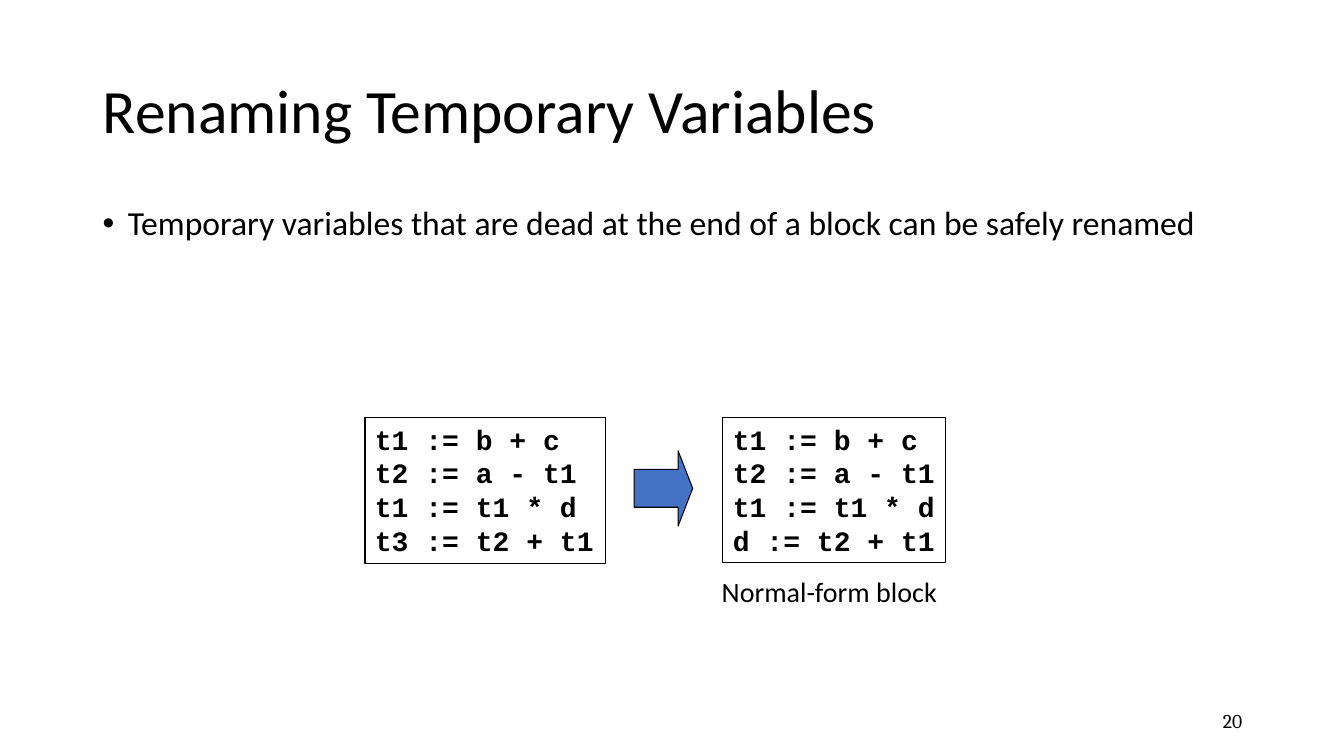
from dataclasses import dataclass

from lxml.etree import SubElement
from pptx import Presentation
from pptx.dml.color import RGBColor
from pptx.enum.shapes import MSO_SHAPE
from pptx.enum.text import MSO_ANCHOR, MSO_AUTO_SIZE, PP_ALIGN
from pptx.oxml.ns import qn
from pptx.shapes.autoshape import Shape
from pptx.slide import Slide
from pptx.text.text import _Paragraph as Paragraph
from pptx.util import Inches, Pt

COLORS = {"black": "000000", "arrow": "4472C4"}


@dataclass(frozen=True)
class Box:
    """Position and size in inches."""

    left: float
    top: float
    width: float
    height: float


@dataclass(frozen=True)
class Label:
    """A text with its box and type style."""

    text: str
    box: Box
    size: int
    font: str = "Calibri"
    align: PP_ALIGN = PP_ALIGN.LEFT
    anchor: MSO_ANCHOR = MSO_ANCHOR.TOP
    wrap: bool = True
    bold: bool = False


@dataclass(frozen=True)
class CodeBlock:
    """A basic block of three-address statements."""

    box: Box
    statements: tuple[str, ...]


TITLE = Label("Renaming Temporary Variables", Box(0.92, 0.4, 11.5, 1.45), 44,
              anchor=MSO_ANCHOR.MIDDLE)
BULLET = Label("Temporary variables that are dead at the end of a block can be safely renamed",
               Box(0.92, 2, 11.5, 4.76), 24)
PAGE_NUMBER = Label("20", Box(9.42, 6.95, 3, 0.4), 14, "Cambria",
                    PP_ALIGN.RIGHT, MSO_ANCHOR.MIDDLE)
CAPTION = Label("Normal-form block", Box(7.06, 5.65, 2.36, 0.44), 20, wrap=False)
SHARED_STATEMENTS = ("t1 := b + c", "t2 := a - t1", "t1 := t1 * d")
CODE_BLOCKS = (
    CodeBlock(Box(3.62, 4.14, 2.39, 1.45), (*SHARED_STATEMENTS, "t3 := t2 + t1")),
    CodeBlock(Box(7.17, 4.14, 2.21, 1.44), (*SHARED_STATEMENTS, "d := t2 + t1")),
)
ARROW_BOX = Box(6.29, 4.47, 0.58, 0.75)


def color(name: str) -> RGBColor:
    """Look up a named colour."""
    return RGBColor.from_string(COLORS[name])


def lengths(box: Box) -> tuple[Inches, Inches, Inches, Inches]:
    """Convert a box to slide lengths."""
    return Inches(box.left), Inches(box.top), Inches(box.width), Inches(box.height)


def write_label(shape: Shape, label: Label) -> Paragraph:
    """Place a shape and fill it with styled text."""
    shape.left, shape.top, shape.width, shape.height = lengths(label.box)
    frame = shape.text_frame
    frame.word_wrap = label.wrap
    frame.auto_size = MSO_AUTO_SIZE.NONE if label.wrap else MSO_AUTO_SIZE.SHAPE_TO_FIT_TEXT
    frame.vertical_anchor = label.anchor
    paragraph = frame.paragraphs[0]
    paragraph.text = label.text
    paragraph.alignment = label.align
    for run in paragraph.runs:
        run.font.name = label.font
        run.font.size = Pt(label.size)
        run.font.bold = label.bold
        run.font.color.rgb = color("black")
    return paragraph


def add_label(slide: Slide, label: Label) -> Paragraph:
    """Add a text box for a label."""
    return write_label(slide.shapes.add_textbox(*lengths(label.box)), label)


def add_outlined(slide: Slide, preset: MSO_SHAPE, box: Box) -> Shape:
    """Add a preset shape with a thin black outline."""
    shape = slide.shapes.add_shape(preset, *lengths(box))
    shape.shadow.inherit = False
    shape.line.color.rgb = color("black")
    shape.line.width = Pt(0.75)
    return shape


def add_code_block(slide: Slide, block: CodeBlock) -> None:
    """Add an outlined box of code."""
    shape = add_outlined(slide, MSO_SHAPE.RECTANGLE, block.box)
    shape.fill.background()
    write_label(shape, Label("\n".join(block.statements), block.box, 20,
                             "Courier New", wrap=False, bold=True))


def add_arrow(slide: Slide, box: Box) -> None:
    """Add the block arrow between the code boxes."""
    arrow = add_outlined(slide, MSO_SHAPE.RIGHT_ARROW, box)
    arrow.adjustments[0], arrow.adjustments[1] = 0.5, 0.25
    arrow.fill.solid()
    arrow.fill.fore_color.rgb = color("arrow")


def add_bullet(slide: Slide, label: Label) -> None:
    """Add a text box with one hanging bullet."""
    paragraph = add_label(slide, label)
    paragraph.line_spacing = 0.9
    properties = paragraph._p.get_or_add_pPr()
    properties.set("marL", str(Inches(0.25)))
    properties.set("indent", str(Inches(-0.25)))
    SubElement(properties, qn("a:buFont"), typeface="Arial")
    SubElement(properties, qn("a:buChar"), char="•")


def main() -> None:
    """Build and save the slide."""
    presentation = Presentation()
    presentation.slide_width, presentation.slide_height = Inches(13.33), Inches(7.5)
    slide = presentation.slides.add_slide(presentation.slide_layouts.get_by_name("Title Only"))
    write_label(slide.shapes.title, TITLE).line_spacing = 0.9
    add_label(slide, PAGE_NUMBER)
    add_bullet(slide, BULLET)
    for block in CODE_BLOCKS:
        add_code_block(slide, block)
    add_arrow(slide, ARROW_BOX)
    add_label(slide, CAPTION)
    presentation.save("out.pptx")


if __name__ == "__main__":
    main()
